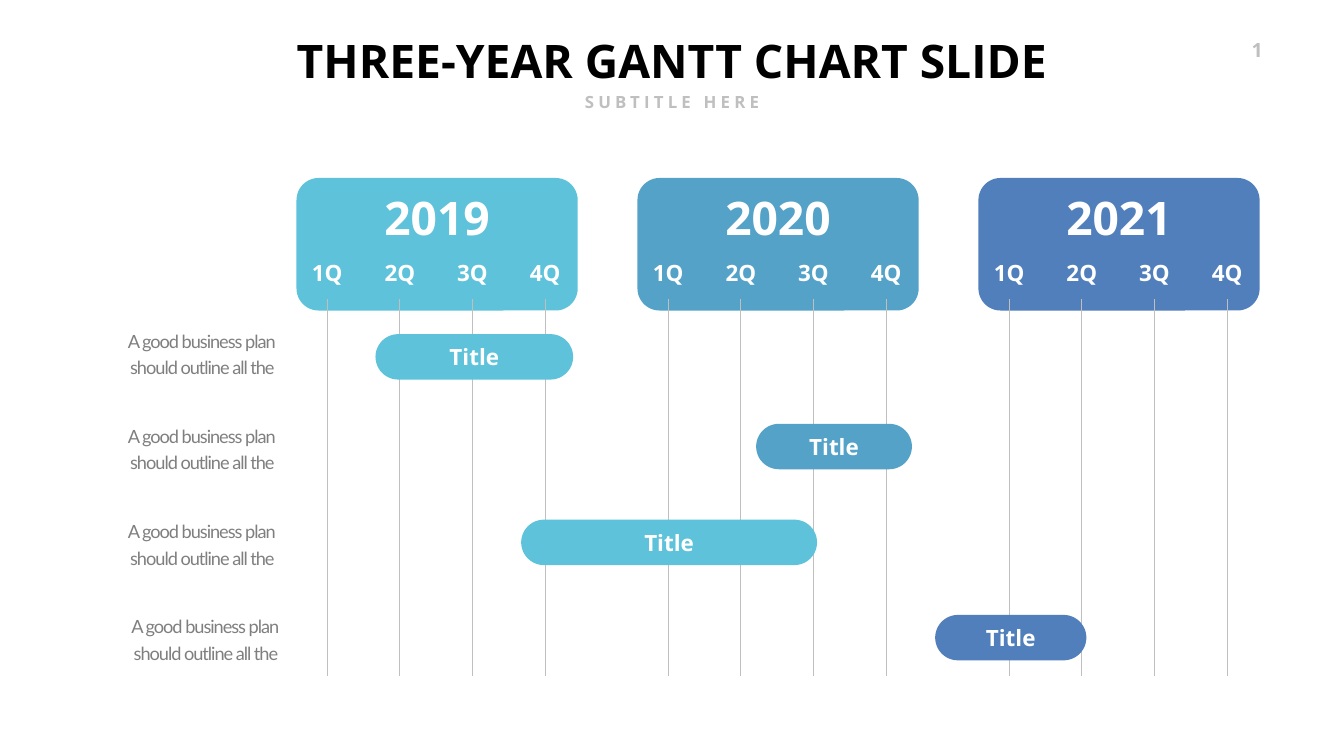
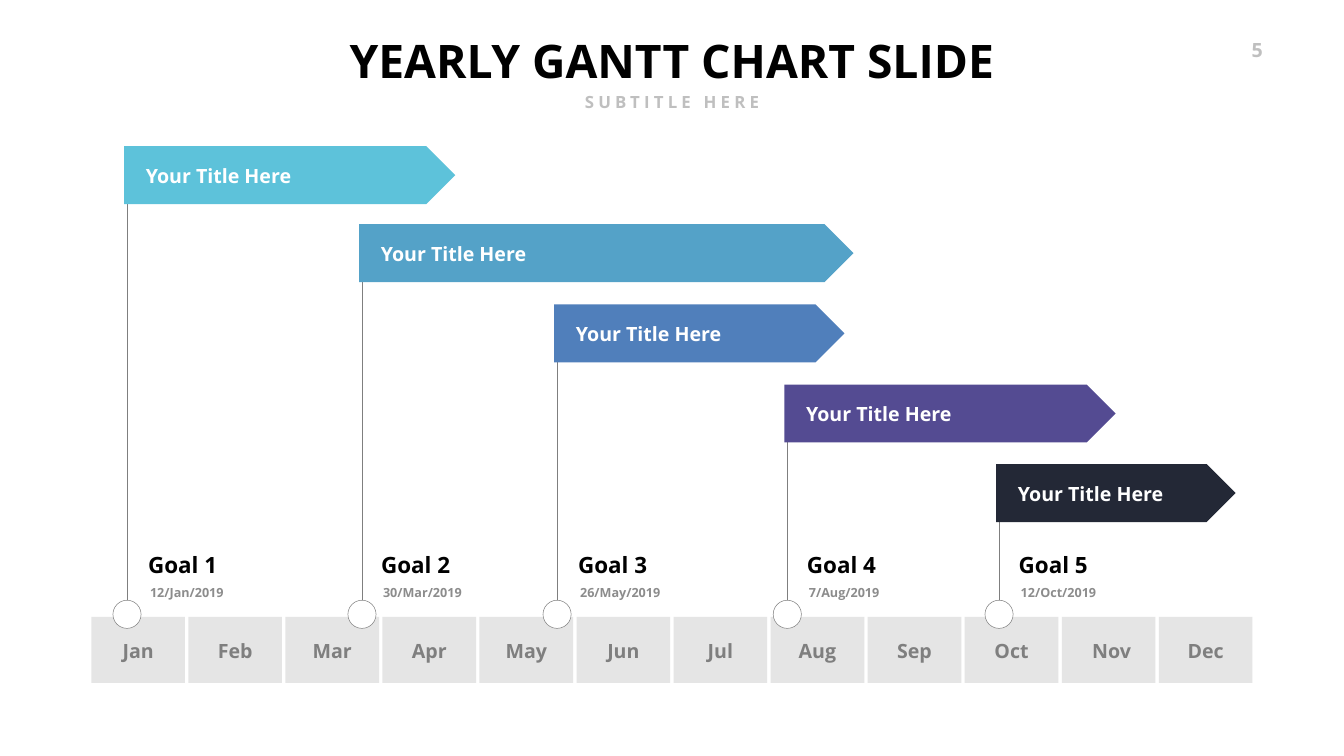
import lxml.etree
import pptx
import pptx.dml.color
import pptx.enum.shapes
import pptx.enum.text
import pptx.oxml.ns
import pptx.util

Cm = pptx.util.Cm
Pt = pptx.util.Pt
Color = pptx.dml.color.RGBColor.from_string
Kind = pptx.enum.shapes.MSO_SHAPE
Align = pptx.enum.text.PP_ALIGN
Anchor = pptx.enum.text.MSO_ANCHOR
qn = pptx.oxml.ns.qn


class Theme:
    heading_font = "Open Sans"
    body_font = "Lato"
    black = "000000"
    white = "FFFFFF"
    gray = "7F7F7F"
    light_gray = "BFBFBF"
    date_gray = "8C8C8C"
    accents = ["5DC2DA", "54A2C8", "507FBB", "544B92", "232836"]
    title_size = 66
    label_size = 32
    small_size = 28
    body_size = 26
    subtitle_size = 24
    date_size = 18


def add_text(page, area, text, size, color, align=Align.CENTER, anchor=Anchor.TOP,
             spacing=0, font=Theme.heading_font, bold=True, box=None):
    """Write one paragraph in a new text box, or in the given placeholder."""
    left, top, width, height = map(Cm, area)
    if box is None:
        box = page.shapes.add_textbox(left, top, width, height)
    else:
        box.left, box.top, box.width, box.height = left, top, width, height
    frame = box.text_frame
    frame.word_wrap = False
    frame.auto_size = pptx.enum.text.MSO_AUTO_SIZE.SHAPE_TO_FIT_TEXT
    frame.vertical_anchor = anchor
    para = frame.paragraphs[0]
    para.alignment = align
    span = para.add_run()
    span.text = text
    if spacing:
        span._r.get_or_add_rPr().set("spc", str(int(spacing * 100)))
    para.font.name = font
    para.font.size = Pt(size)
    para.font.bold = bold
    para.font.color.rgb = Color(color)
    return box


def add_block(page, kind, area, color):
    """Add a flat shape without outline or shadow."""
    block = page.shapes.add_shape(kind, *map(Cm, area))
    block.shadow.inherit = False
    block.fill.solid()
    block.fill.fore_color.rgb = Color(color)
    block.line.fill.background()
    return block


deck = pptx.Presentation()
page_width = 67.72
deck.slide_width = Cm(page_width)
deck.slide_height = Cm(38.1)
title_only = deck.slide_layouts[5]

# Shared heading: title, subtitle and page number
headings = [("THREE-YEAR GANTT CHART SLIDE", 39.8, "1"),
            ("YEARLY GANTT CHART SLIDE", 34.14, "5")]
for title, width, number in headings:
    page = deck.slides.add_slide(title_only)
    add_text(page, ((page_width - width) / 2, 1.5, width, 3.07), title,
             Theme.title_size, Theme.black, box=page.shapes.title)
    add_text(page, ((page_width - 9.83) / 2, 4.5, 9.83, 1.27), "SUBTITLE HERE",
             Theme.subtitle_size, Theme.light_gray, spacing=6)
    add_text(page, (61.67, 1.78, 2.21, 1.45), number, Theme.small_size,
             Theme.light_gray, align=Align.RIGHT, spacing=3)
three_years, one_year = deck.slides
straight = pptx.enum.shapes.MSO_CONNECTOR.STRAIGHT
rules = []

# Three-year chart: year cards with quarter lines
card_width = 14.17
for year_index, year in enumerate(["2019", "2020", "2021"]):
    card_left = 14.94 + 17.18 * year_index
    add_block(three_years, Kind.ROUNDED_RECTANGLE, (card_left, 8.97, card_width, 6.68),
              Theme.accents[year_index])
    add_text(three_years, (card_left + (card_width - 5.87) / 2, 9.42, 5.87, 3.07), year,
             Theme.title_size, Theme.white)
    for quarter_index, quarter in enumerate(["1Q", "2Q", "3Q", "4Q"]):
        quarter_x = card_left + 1.55 + 3.66 * quarter_index
        add_text(three_years, (quarter_x - 1.04, 12.93, 2.08, 1.63), quarter,
                 Theme.label_size, Theme.white, anchor=Anchor.BOTTOM)
        quarter_line = three_years.shapes.add_connector(
            straight, Cm(quarter_x), Cm(15.06), Cm(quarter_x), Cm(34.06))
        rules.append((quarter_line, Theme.light_gray, 1.5))

# Three-year chart: task descriptions and bars
# (description left, bar left, bar top, bar width, accent)
tasks = [(3.66, 18.92, 16.84, 9.96, 0),
         (3.66, 38.1, 21.36, 7.85, 1),
         (3.66, 26.26, 26.19, 14.91, 0),
         (3.84, 47.12, 30.99, 7.62, 2)]
bar_label_width = 3.4
for row, (text_left, bar_left, bar_top, bar_width, accent) in enumerate(tasks):
    box = add_text(three_years, (text_left, 16.1 + 4.8 * row, 10.87, 3.25),
                   "A good business plan should outline all the", Theme.body_size,
                   Theme.gray, align=Align.RIGHT, anchor=Anchor.MIDDLE, spacing=-1.5,
                   font=Theme.body_font, bold=False)
    frame = box.text_frame
    frame.word_wrap = True
    frame.margin_left = frame.margin_right = Cm(0.69)
    frame.margin_top = frame.margin_bottom = Cm(0.33)
    frame.paragraphs[0].line_spacing = Pt(38)
    bar = add_block(three_years, Kind.ROUNDED_RECTANGLE,
                    (bar_left, bar_top, bar_width, 2.29), Theme.accents[accent])
    bar.adjustments[0] = 0.5
    label_left = bar_left + (bar_width - bar_label_width) / 2
    add_text(three_years, (label_left, bar_top + 0.33, bar_label_width, 1.63),
             "Title", Theme.label_size, Theme.white)

# Yearly chart: month strip (name, label width)
months = [("Jan", 2.11), ("Feb", 2.29), ("Mar", 2.51), ("Apr", 2.29),
          ("May", 2.62), ("Jun", 2.16), ("Jul", 1.8), ("Aug", 2.44),
          ("Sep", 2.29), ("Oct", 2.34), ("Nov", 2.49), ("Dec", 2.41)]
tile_width = 4.72
for column, (month, label_width) in enumerate(months):
    tile_left = 4.6 + 4.89 * column
    tile = add_block(one_year, Kind.RECTANGLE, (tile_left, 31.09, tile_width, 3.33),
                     Theme.gray)
    tile_color = tile._element.spPr.find(qn("a:solidFill"))[0]
    lxml.etree.SubElement(tile_color, qn("a:alpha"), val="20000")
    nudge = 0.15 if month == "Nov" else 0
    label_left = tile_left + (tile_width - label_width) / 2 + nudge
    add_text(one_year, (label_left, 32.05, label_width, 1.45), month, Theme.small_size,
             Theme.gray, anchor=Anchor.BOTTOM)

# Yearly chart: goals
# (date, date width, pin x, pin top, arrow top, arrow width, goal left)
goals = [("12/Jan/2019", 4.27, 6.4, 8.03, 7.37, 16.69, 7.21),
         ("30/Mar/2019", 4.57, 18.24, 12.65, 11.3, 24.92, 18.95),
         ("26/May/2019", 4.62, 28.07, 16.99, 15.34, 14.63, 28.88),
         ("7/Aug/2019", 4.11, 39.67, 22.3, 19.38, 16.69, 40.41),
         ("12/Oct/2019", 4.34, 50.34, 25.43, 23.39, 12.07, 51.08)]
for index, (date, date_width, pin_x, pin_top, arrow_top, arrow_width,
            goal_left) in enumerate(goals):
    marker = add_block(one_year, Kind.OVAL, (pin_x - 0.71, 30.25, 1.42, 1.42), Theme.white)
    marker.line.color.rgb = Color(Theme.gray)
    marker.line.width = Pt(0.75)
    pin = one_year.shapes.add_connector(straight, Cm(pin_x), Cm(pin_top),
                                        Cm(pin_x), Cm(30.25))
    pin.end_connect(marker, 0)
    rules.append((pin, Theme.gray, 0.75))
    add_block(one_year, Kind.PENTAGON, (pin_x - 0.15, arrow_top, arrow_width, 2.92),
              Theme.accents[index])
    add_text(one_year, (pin_x + 0.7, arrow_top + 0.74, 7.92, 1.45), "Your Title Here",
             Theme.small_size, Theme.white, align=Align.LEFT, anchor=Anchor.MIDDLE)
    add_text(one_year, (goal_left, 27.66, 4.1, 1.63), f"Goal {index + 1}",
             Theme.label_size, Theme.black, align=Align.LEFT)
    add_text(one_year, (goal_left + 0.1, 29.36, date_width, 1.02), date,
             Theme.date_size, Theme.date_gray, align=Align.LEFT)

# Line style
for rule, color, weight in rules:
    rule.line.color.rgb = Color(color)
    rule.line.width = Pt(weight)
    lxml.etree.SubElement(rule._element.spPr, qn("a:effectLst"))

deck.save("out.pptx")
